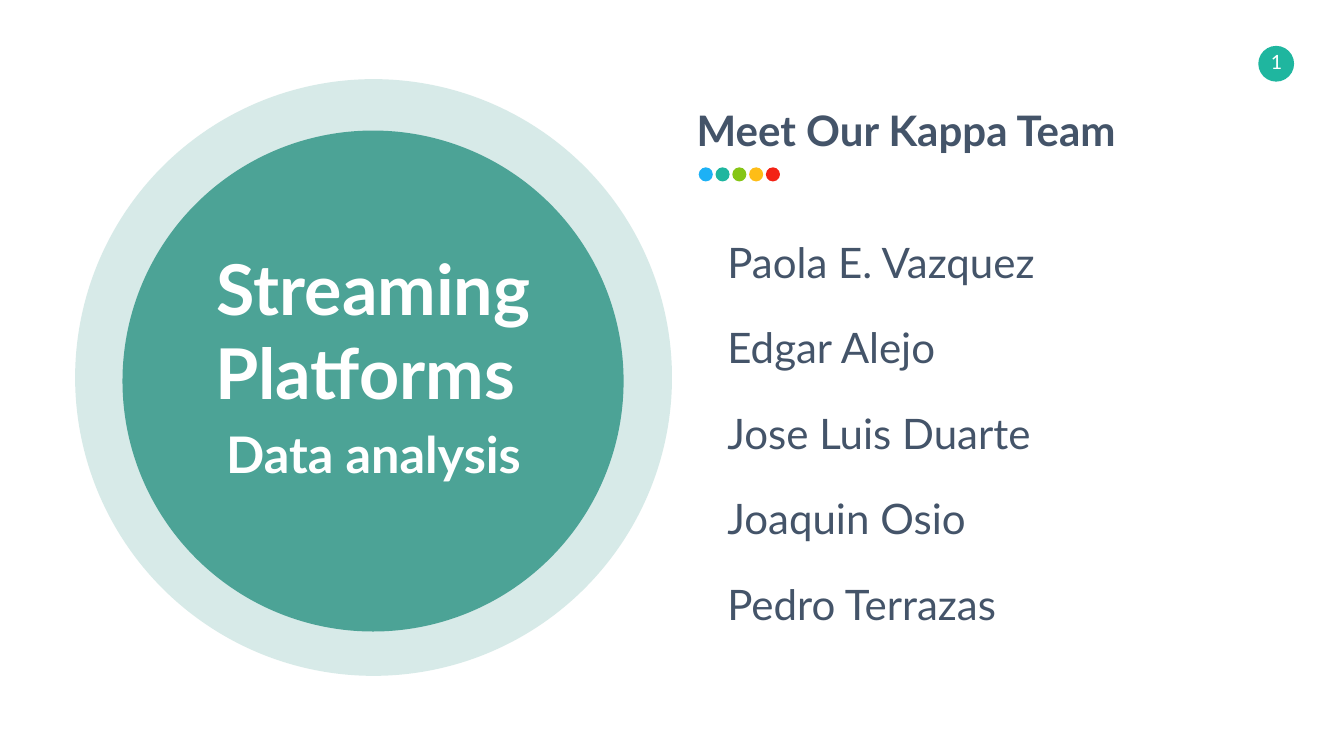
from dataclasses import dataclass

from lxml import etree
from pptx import Presentation
from pptx.dml.color import RGBColor
from pptx.enum import shapes, text
from pptx.oxml import ns
from pptx.util import Inches, Pt


@dataclass(frozen=True)
class Theme:
    font: str = "Lato"
    ink: str = "445469"
    white: str = "FFFFFF"
    teal: str = "178877"
    badge: str = "1FB69F"
    dots: tuple = ("1DB1F5", "1FB69F", "85C515", "FEBD17", "F32215")
    title: int = 100
    sub: int = 72
    body: int = 60
    small: int = 28


theme = Theme()
deck = Presentation()
deck.slide_width, deck.slide_height = Inches(26.66), Inches(15)
slide = deck.slides.add_slide(deck.slide_layouts[6])


def add_disc(left, top, size, color, alpha=100):
    """Draw a circle; alpha is its opacity in percent."""
    disc = slide.shapes.add_shape(
        shapes.MSO_SHAPE.OVAL, Inches(left), Inches(top), Inches(size), Inches(size))
    disc.shadow.inherit = False
    disc.fill.solid()
    disc.fill.fore_color.rgb = RGBColor.from_string(color)
    disc.line.fill.background()
    if alpha < 100:
        tint = disc.fill._xPr.find(".//" + ns.qn("a:srgbClr"))
        etree.SubElement(tint, ns.qn("a:alpha"), val=str(alpha * 1000))


def add_label(box, lines, color, bold=False, wrap=False, align=text.PP_ALIGN.LEFT):
    """Add a text box with one paragraph for each (words, size) pair."""
    label = slide.shapes.add_textbox(*map(Inches, box))
    frame = label.text_frame
    frame.word_wrap = wrap
    frame.auto_size = text.MSO_AUTO_SIZE.SHAPE_TO_FIT_TEXT
    for i, (words, size) in enumerate(lines):
        para = frame.add_paragraph() if i else frame.paragraphs[0]
        para.alignment = align
        if i:
            para.space_before = Pt(size * 0.2)
        run = para.add_run()
        run.text = words
        run.font.name = theme.font
        run.font.size = Pt(size)
        run.font.bold = bold
        run.font.color.rgb = RGBColor.from_string(color)


# Page number
add_disc(24.96, 0.91, 0.71, theme.badge)
add_label((24.88, 0.95, 0.88, 0.57), [("1", theme.small)], theme.white,
          align=text.PP_ALIGN.CENTER)

# Title in its rings
add_disc(1.49, 1.57, 11.84, theme.teal, 17)
add_disc(2.43, 2.59, 9.94, theme.teal, 72)
add_label((2, 4.82, 10.82, 4.92),
          [("Streaming Platforms ", theme.title), ("Data analysis", theme.sub)],
          theme.white, bold=True, wrap=True, align=text.PP_ALIGN.CENTER)

# Team heading and dots
add_label((13.72, 2.03, 9, 1.11), [("Meet Our Kappa Team", theme.body)],
          theme.ink, bold=True)
for i, color in enumerate(theme.dots):
    add_disc(13.86 + i * 0.333, 3.32, 0.28, color)

# Team members, evenly spaced
team = [("Paola E. Vazquez", 6.33), ("Edgar Alejo", 4.45), ("Jose Luis Duarte", 6.22),
        ("Joaquin Osio", 4.98), ("Pedro Terrazas", 5.55)]
for i, (name, width) in enumerate(team):
    add_label((14.33, 4.64 + i * 1.695, width, 1.11), [(name, theme.body)], theme.ink)

deck.save("out.pptx")
